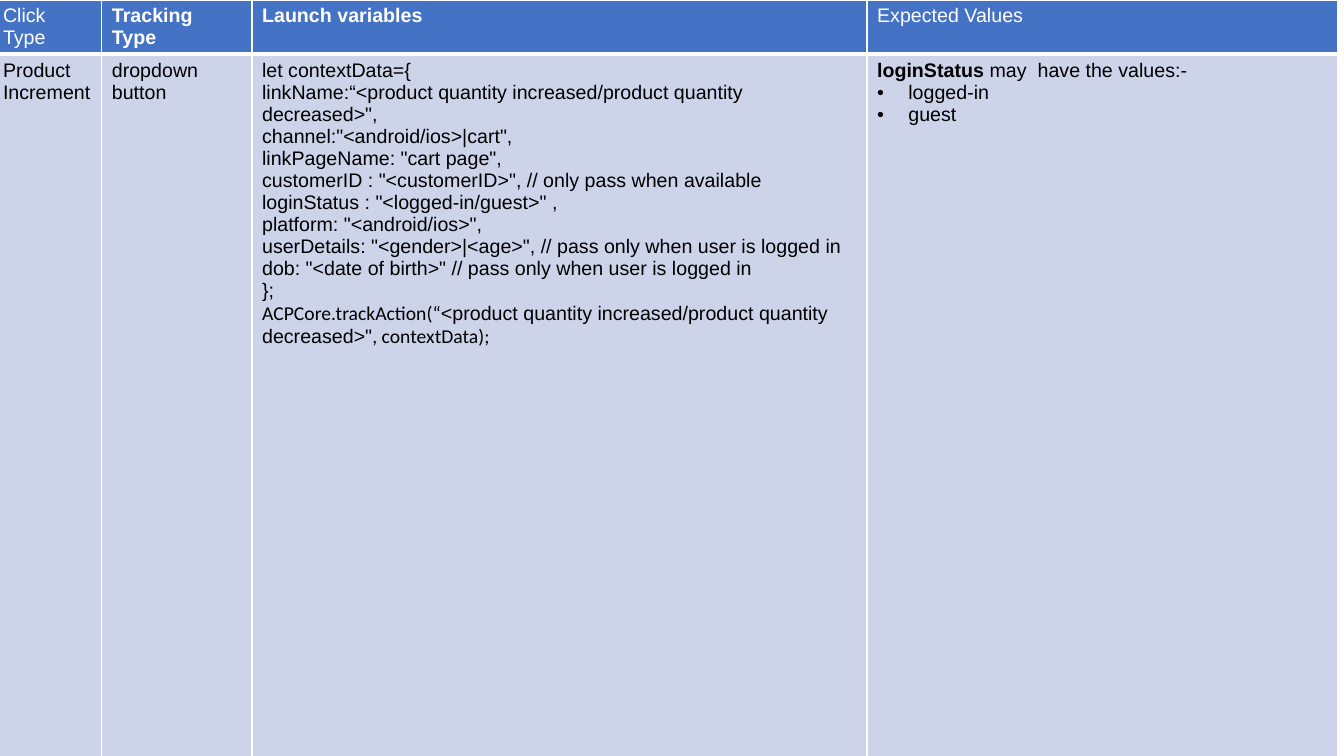
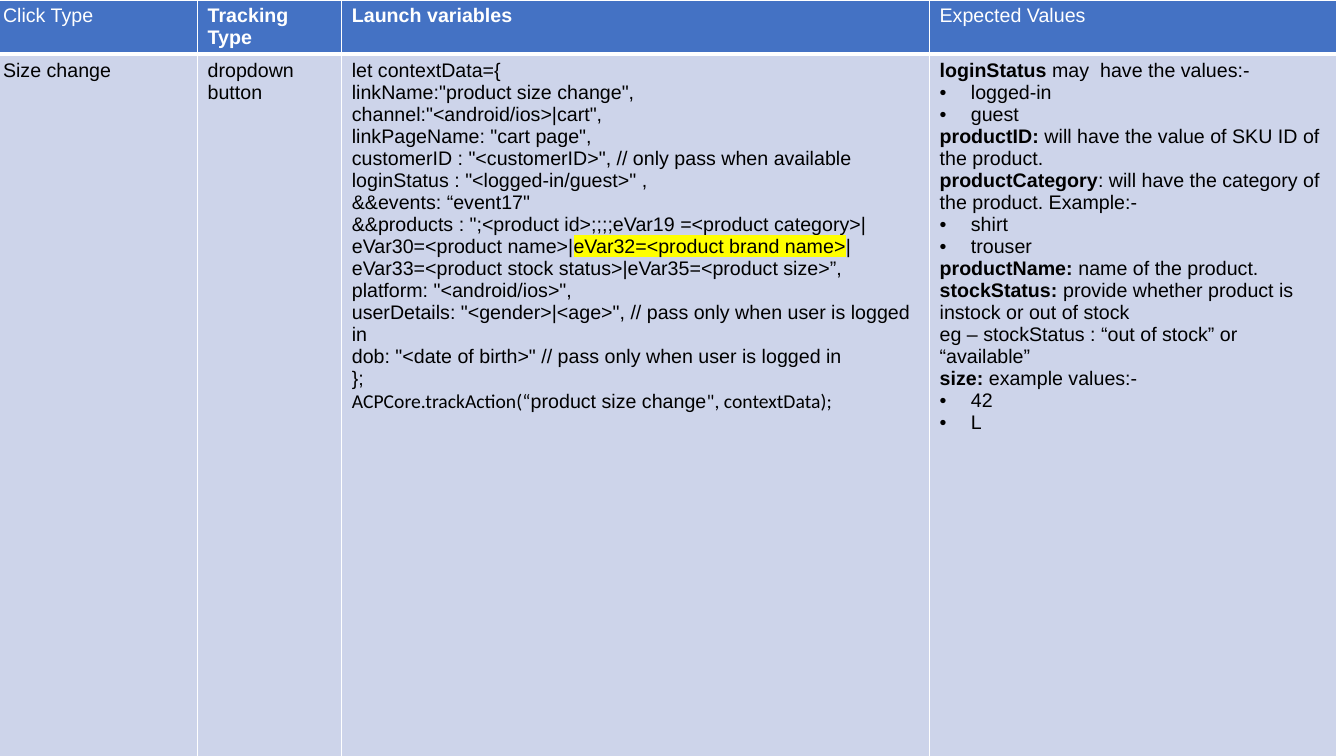
from lxml.etree import SubElement as Sub
from pptx import Presentation
from pptx.dml.color import RGBColor as Rgb
from pptx.oxml import parse_xml
from pptx.oxml.ns import nsdecls, qn
from pptx.util import Inches, Pt

HUES = {"head": "4472C4", "body": "CDD4EA", "white": "FFFFFF",
        "ink": "000000", "mark": "FFFF00"}
HEADS = [("Click Type", False), ("Tracking Type", True),
         ("Launch variables", True), ("Expected Values", False)]
ROWS = [0.38, 7.12]
LEFT = -0.07
DENT = 0.31


def rgb(hue):
    return Rgb.from_string(HUES[hue])


def write(para, text, hue="ink", bold=False, face="Arial", mark=None):
    run = para.add_run()
    run.text = text
    font = run.font
    font.size = Pt(14)
    font.bold = bold
    font.color.rgb = rgb(hue)
    font.name = face
    if mark:
        light = parse_xml(f'<a:highlight {nsdecls("a")}><a:srgbClr val="{HUES[mark]}"/></a:highlight>')
        run._r.rPr.find(qn("a:solidFill")).addnext(light)


def bullet(para):
    props = para._p.get_or_add_pPr()
    props.set("marL", str(Inches(DENT)))
    props.set("indent", str(-Inches(DENT)))
    Sub(props, qn("a:buFont")).set("typeface", "Arial")
    Sub(props, qn("a:buChar")).set("char", "•")


def paint(cell, hue, edges):
    cell.fill.solid()
    cell.fill.fore_color.rgb = rgb(hue)
    props = cell._tc.get_or_add_tcPr()
    for spot, (side, size) in enumerate(zip("LRTB", edges)):
        props.insert(spot, parse_xml(
            f'<a:ln{side} {nsdecls("a")} w="{Pt(size)}"><a:solidFill>'
            f'<a:srgbClr val="{HUES["white"]}"/></a:solidFill></a:ln{side}>'))


def fill(cell, lines):
    frame = cell.text_frame
    for spot, line in enumerate(lines):
        para = frame.add_paragraph() if spot else frame.paragraphs[0]
        if isinstance(line, str):
            line = [line]
        if line[0] == "•":
            bullet(para)
            line = line[1:]
        for part in line:
            text, style = (part, {}) if isinstance(part, str) else part
            write(para, text, **style)


def grid(slide, left, top, widths, cells):
    table = slide.shapes.add_table(
        len(ROWS), len(widths), Inches(left), Inches(top),
        Inches(sum(widths)), Inches(sum(ROWS))).table
    table.horz_banding = False
    for row, high in zip(table.rows, ROWS):
        row.height = Inches(high)
    for spot, (wide, (head, bold), lines) in enumerate(zip(widths, HEADS, cells)):
        table.columns[spot].width = Inches(wide)
        top_cell, low_cell = table.cell(0, spot), table.cell(1, spot)
        paint(top_cell, "head", (1, 1, 1, 3))
        paint(low_cell, "body", (1, 1, 3, 1))
        fill(top_cell, [[(head, {"hue": "white", "bold": bold})]])
        fill(low_cell, lines)


def term(name, text):
    return [(name, {"bold": True}), text]


def items(*names):
    return [["•", name] for name in names]


def code(link, call, extra=()):
    return [
        "let contextData={",
        f"linkName:{link}",
        'channel:"<android/ios>|cart",',
        'linkPageName: "cart page",',
        'customerID : "<customerID>", // only pass when available',
        'loginStatus : "<logged-in/guest>" ,',
        *extra,
        'platform: "<android/ios>",',
        'userDetails: "<gender>|<age>", // pass only when user is logged in',
        'dob: "<date of birth>" // pass only when user is logged in',
        "};",
        call,
    ]


def track(name, tail):
    plain = {"face": "Calibri"}
    return [("ACPCore.trackAction(“", plain), name, (tail, plain)]


LOGIN = [term("loginStatus ", "may  have the values:-"),
         *items("logged-in", "guest")]
COUNT = "<product quantity increased/product quantity decreased>"
EVENTS = [
    '&&events: “event17"',
    ['&&products : ";<product id>;;;;eVar19 =<product category>|eVar30=<product name>|',
     ("eVar32=<product brand name>", {"mark": "mark"}),
     "|eVar33=<product stock status>|eVar35=<product size>”,"],
]
VALUES = [
    *LOGIN,
    term("productID:", " will have the value of SKU ID of the product."),
    term("productCategory", ": will have the category of the product. Example:-"),
    *items("shirt", "trouser"),
    term("productName: ", "name of the product."),
    term("stockStatus: ", "provide whether product is instock or out of stock"),
    "eg – stockStatus : “out of stock” or “available”",
    term("size: ", "example values:-"),
    *items("42", "L"),
]
PAGES = [
    ([1.08, 1.49, 6.1, 4.67],
     [["Product Increment"], ["dropdown button"],
      code(f'“{COUNT}",', track(f'{COUNT}"', ", contextData);")), LOGIN]),
    ([2.03, 1.43, 5.83, 4.04],
     [["Size change"], ["dropdown button"],
      code('"product size change",',
           track("product size change", '", contextData);'), EVENTS), VALUES]),
]


def main():
    deck = Presentation()
    deck.slide_width, deck.slide_height = Inches(13.33), Inches(7.5)
    for widths, cells in PAGES:
        slide = deck.slides.add_slide(deck.slide_layouts[6])
        grid(slide, LEFT, 0, widths, cells)
    deck.save("out.pptx")


if __name__ == "__main__":
    main()
